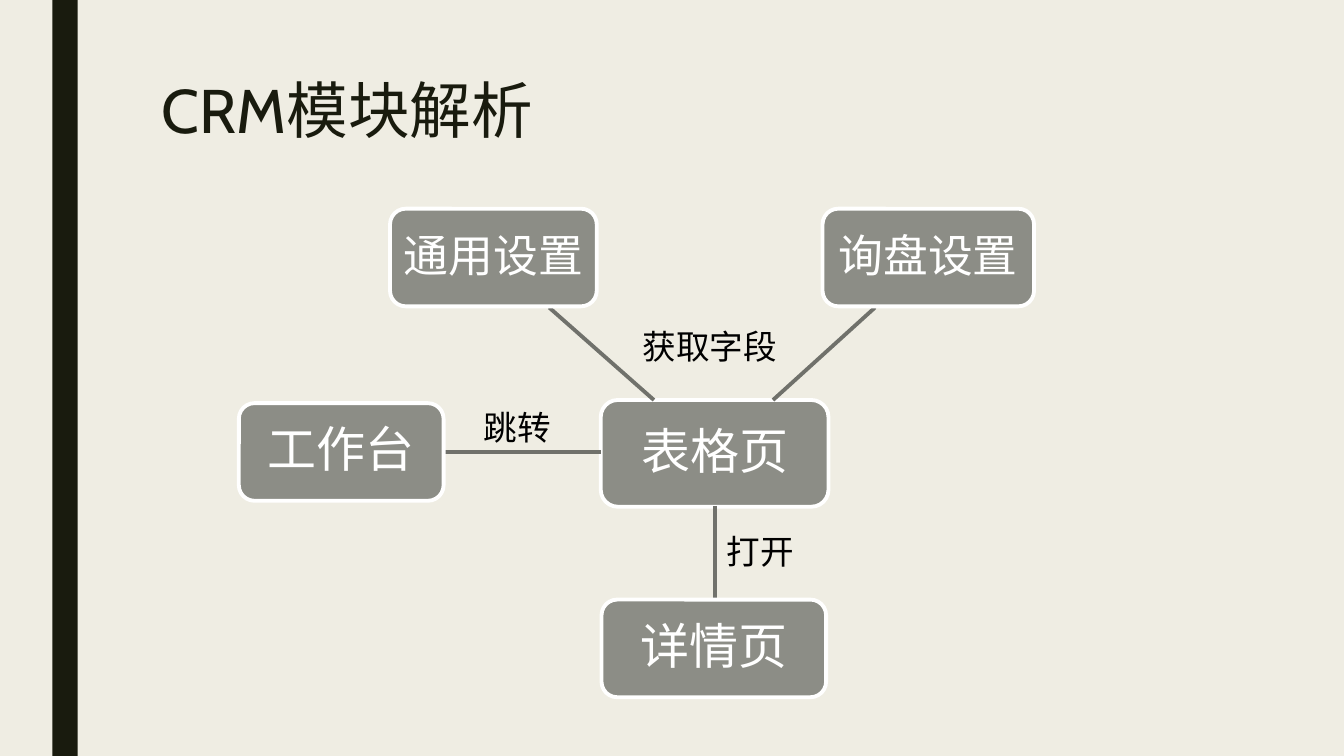
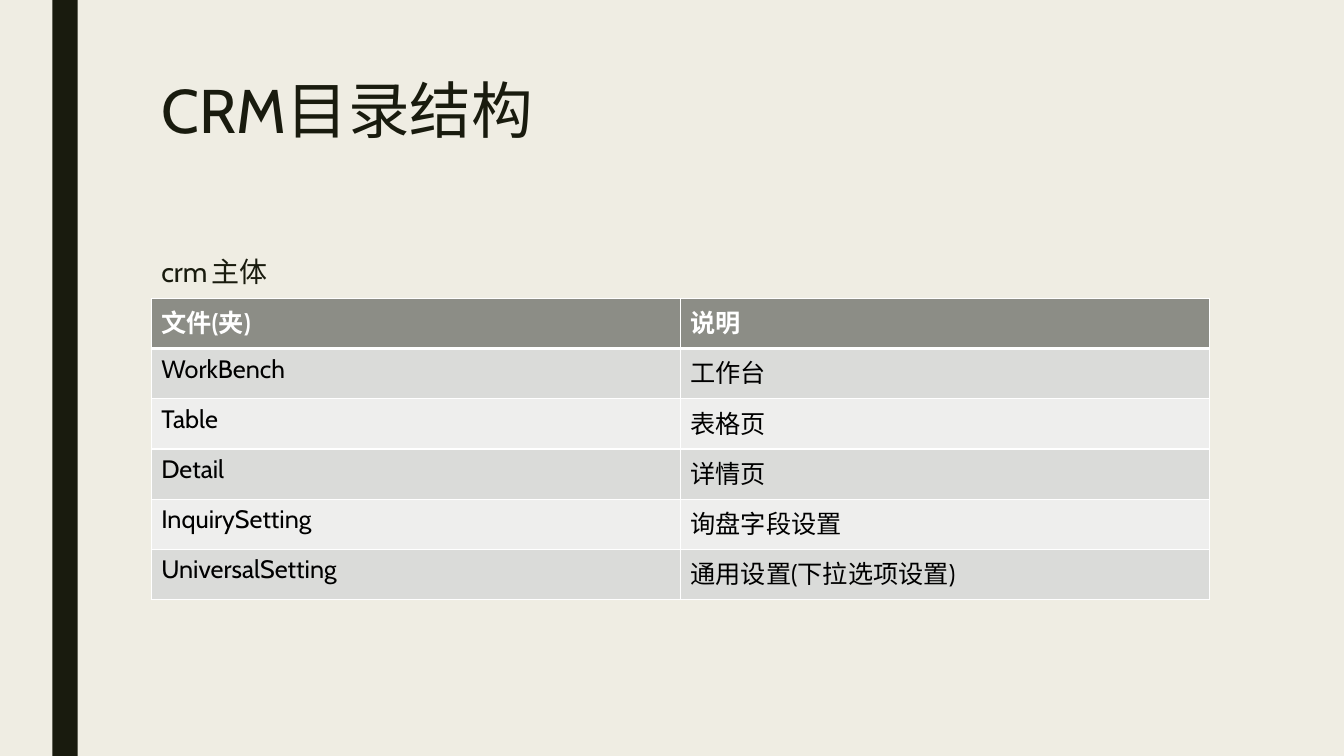
from lxml import etree
from pptx import Presentation
from pptx.dml.color import RGBColor
from pptx.enum import shapes, text
from pptx.oxml import ns
from pptx.util import Cm, Pt

# Theme
CREAM = RGBColor(0xEF, 0xED, 0xE3)
INK = RGBColor(0x19, 0x1B, 0x0E)
GREY = RGBColor(0x8C, 0x8D, 0x86)
LINK = RGBColor(0x70, 0x71, 0x6B)
WHITE = RGBColor(0xFF, 0xFF, 0xFF)
BLACK = RGBColor(0, 0, 0)
BANDS = (RGBColor(0xEE, 0xEE, 0xED), RGBColor(0xDA, 0xDB, 0xD9))
FONT = "Cabin"
LEFT, WIDTH = 3.81, 26.67

# Diagram: text, size, box; spokes also have their link
HUB = ("表格页", 35, (15.14, 10.08, 5.74, 2.69))
SPOKES = [
    ("通用设置", 32, (9.83, 5.26, 5.21, 2.46), (16.48, 10.08, 13.84, 7.75)),
    ("询盘设置", 32, (20.73, 5.26, 5.33, 2.46), (19.48, 10.08, 22.05, 7.75)),
    ("详情页", 35, (15.16, 15.11, 5.66, 2.46), (18.01, 12.75, 18.01, 15.11)),
    ("工作台", 35, (6.02, 10.16, 5.16, 2.46), (15.14, 11.4, 11.2, 11.4)),
]
LABELS = [
    ("跳转", (11.94, 10.13, 2.51, 1.27)),
    ("获取字段", (15.95, 8.1, 4.22, 1.27)),
    ("打开", (18.06, 13.26, 4.22, 1.27)),
]

ROWS = [
    ("文件(夹)", "说明"),
    ("WorkBench", "工作台"),
    ("Table", "表格页"),
    ("Detail", "详情页"),
    ("InquirySetting", "询盘字段设置"),
    ("UniversalSetting", "通用设置(下拉选项设置)"),
]


def write(frame, words, size, color=INK, bold=False, space=None,
          align=text.PP_ALIGN.LEFT, before=0, after=0):
    """Fill a text frame with one formatted paragraph."""
    para = frame.paragraphs[0]
    para.alignment = align
    para.line_spacing = space
    para.space_before, para.space_after = Pt(before), Pt(after)
    run = para.add_run()
    run.text = words
    font = run.font
    font.name, font.size, font.bold = FONT, Pt(size), bold
    font.color.rgb = color
    return para


def place(holder, top, high):
    """Move a placeholder to the text column and set its frame."""
    holder.left, holder.top = Cm(LEFT), Cm(top)
    holder.width, holder.height = Cm(WIDTH), Cm(high)
    frame = holder.text_frame
    frame.word_wrap = True
    frame.auto_size = text.MSO_AUTO_SIZE.NONE
    frame.vertical_anchor = text.MSO_ANCHOR.TOP
    return frame


def add_box(slide, kind, box, fill, line=None):
    shape = slide.shapes.add_shape(kind, *map(Cm, box))
    shape.shadow.inherit = False
    shape.fill.solid()
    shape.fill.fore_color.rgb = fill
    if line is None:
        shape.line.fill.background()
    else:
        shape.line.color.rgb = line
        shape.line.width = Pt(2.75)
    return shape


def add_page(deck, layout, title):
    """Start a slide with the shared side band and title."""
    slide = deck.slides.add_slide(deck.slide_layouts[layout])
    add_box(slide, shapes.MSO_SHAPE.RECTANGLE, (1.32, 0, 0.64, 19.05), INK)
    write(place(slide.shapes.title, 1.9, 4.11), title, 44, space=0.89)
    return slide


def add_node(slide, words, size, box):
    node = add_box(slide, shapes.MSO_SHAPE.ROUNDED_RECTANGLE, box, GREY, WHITE)
    node.adjustments[0] = 0.1 * 1.6
    frame = node.text_frame
    frame.word_wrap = True
    frame.margin_left = frame.margin_right = Cm(0.2)
    frame.vertical_anchor = text.MSO_ANCHOR.MIDDLE
    write(frame, words, size, WHITE, space=0.9, align=text.PP_ALIGN.CENTER)


def add_link(slide, ends):
    link = slide.shapes.add_connector(
        shapes.MSO_CONNECTOR.STRAIGHT, *map(Cm, ends))
    link.line.color.rgb = LINK
    link.line.width = Pt(2.75)
    etree.SubElement(link._element.spPr, ns.qn("a:effectLst"))


def add_label(slide, words, box):
    frame = slide.shapes.add_textbox(*map(Cm, box)).text_frame
    frame.word_wrap = True
    write(frame, words, 24, BLACK)


def set_edges(cell, **widths):
    """Draw white cell borders, widths in points by side: L, R, T, B."""
    props = cell._tc.get_or_add_tcPr()
    for spot, (side, width) in enumerate(widths.items()):
        edge = etree.Element(ns.qn("a:ln" + side), w=str(Pt(width)))
        fill = etree.SubElement(edge, ns.qn("a:solidFill"))
        etree.SubElement(fill, ns.qn("a:srgbClr"), val=str(WHITE))
        props.insert(spot, edge)


def add_grid(slide, rows, top, high):
    """Add a table with a header row and banded rows."""
    grid = slide.shapes.add_table(
        len(rows), len(rows[0]), Cm(LEFT), Cm(top), Cm(WIDTH),
        Cm(high * len(rows))).table
    grid.horz_banding = False
    for r, row in enumerate(rows):
        head = r == 0
        for c, words in enumerate(row):
            cell = grid.cell(r, c)
            cell.fill.solid()
            cell.fill.fore_color.rgb = GREY if head else BANDS[r % 2]
            set_edges(cell, L=1, R=1, T=3 if r == 1 else 1, B=3 if head else 1)
            write(cell.text_frame, words, 18, WHITE if head else BLACK, head)


def add_map(deck):
    slide = add_page(deck, 5, "CRM模块解析")
    add_node(slide, *HUB)
    for words, size, box, ends in SPOKES:
        add_link(slide, ends)
        add_node(slide, words, size, box)
    for words, box in LABELS:
        add_label(slide, words, box)


def add_files(deck):
    slide = add_page(deck, 1, "CRM目录结构")
    frame = place(slide.placeholders[1], 6.35, 9.96)
    para = write(frame, "crm\t主体", 20, space=0.94, before=10, after=2)
    # Plain line: no bullet, no indent
    props = para._p.get_or_add_pPr()
    props.set("marL", "0")
    props.set("indent", "0")
    etree.SubElement(props, ns.qn("a:buNone"))
    add_grid(slide, ROWS, 7.52, 1.265)


def main():
    deck = Presentation()
    deck.slide_width, deck.slide_height = Cm(33.87), Cm(19.05)
    back = deck.slide_master.background.fill
    back.solid()
    back.fore_color.rgb = CREAM
    add_map(deck)
    add_files(deck)
    deck.save("out.pptx")


if __name__ == "__main__":
    main()
